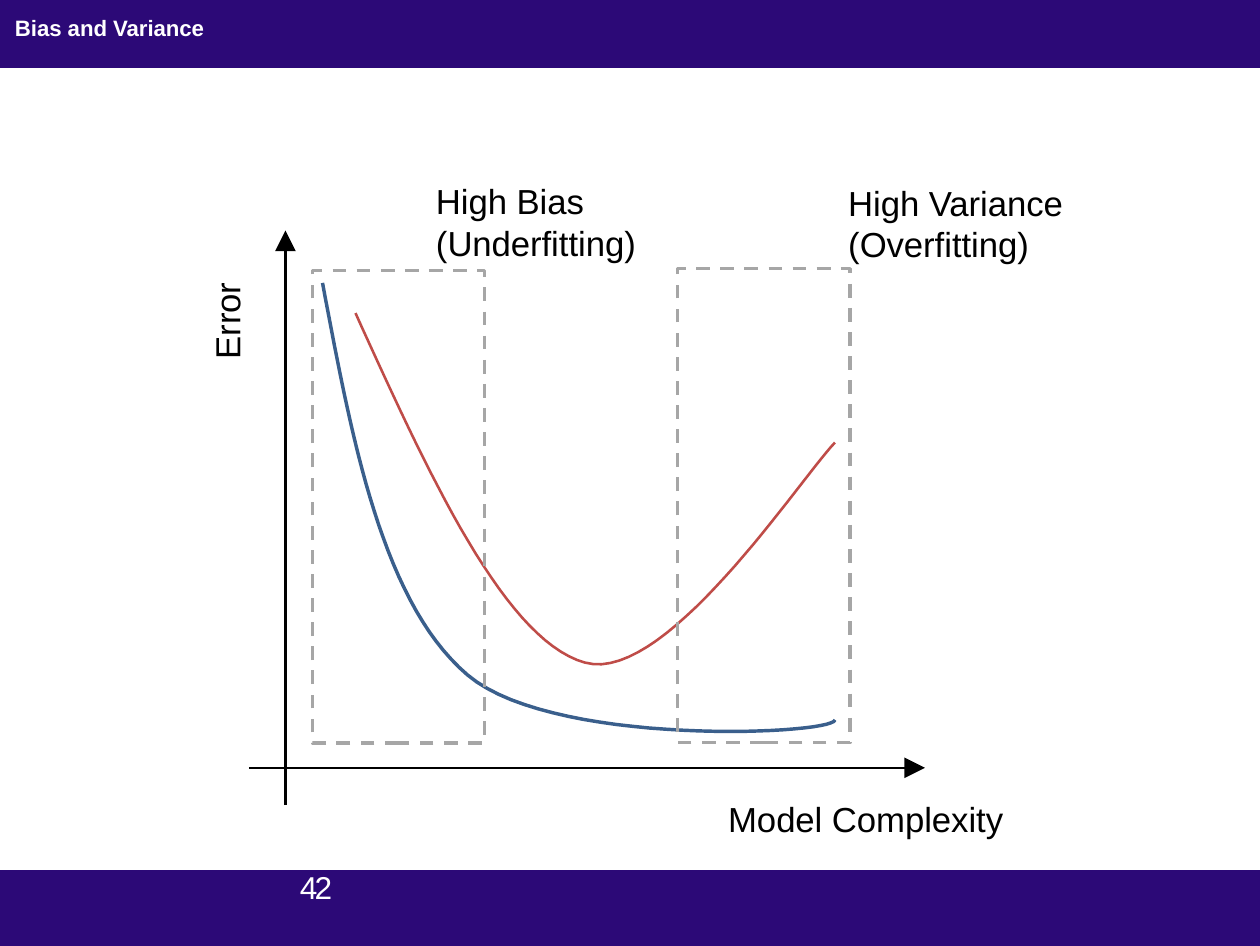
from dataclasses import dataclass

from lxml.etree import SubElement
from pptx import Presentation
from pptx.dml.color import RGBColor
from pptx.enum.dml import MSO_LINE
from pptx.enum.shapes import MSO_CONNECTOR, MSO_SHAPE
from pptx.enum.text import MSO_ANCHOR, MSO_AUTO_SIZE, PP_ALIGN
from pptx.oxml.ns import qn
from pptx.shapes.base import BaseShape
from pptx.slide import Slide
from pptx.util import Emu, Length, Pt

COLORS = {
    "band": "2C0977",
    "band_text": "FFFFFF",
    "ink": "000000",
    "test_error": "BF4C48",
    "training_error": "3A5F8C",
    "region": "A6A6A6",
}
FONT = "Arial"
SLIDE_WIDTH, SLIDE_HEIGHT = Pt(363), Pt(272.5)
COLUMNS = 504
CELL = SLIDE_WIDTH / COLUMNS
ROWS = SLIDE_HEIGHT / CELL
CURVE_STEPS = 30

Point = tuple[float, float]
Box = tuple[float, float, float, float]


@dataclass(frozen=True)
class Axis:
    start: Point
    end: Point


@dataclass(frozen=True)
class Curve:
    points: tuple[Point, ...]
    color: str
    width: float


@dataclass(frozen=True)
class Label:
    text: str
    box: Box
    upward: bool = False


BANDS: list[Box] = [(0, -2, COLUMNS, 29.2), (0, 348, COLUMNS, ROWS - 348)]
AXES = [Axis((114.2, 322), (114.2, 92.2)), Axis((99.6, 307.1), (370, 307.1))]
CURVES = [
    Curve(
        ((142.2, 125.2), (172, 191), (202, 256), (234, 265),
         (266, 274), (319, 193), (334, 177)),
        "test_error", 0.75,
    ),
    Curve(
        ((129, 113.2), (141, 177), (153, 241), (187, 270),
         (221, 299), (333, 294), (334, 288)),
        "training_error", 1,
    ),
]
REGIONS: list[Box] = [(125, 108.2, 68.8, 189), (271, 107.5, 69, 189.5)]
LABELS = [
    Label("Model Complexity", (281.5, 314, 138, 27)),
    Label("Error", (77.4, 19.6, 37, 134), upward=True),
    Label("High Bias (Underfitting)", (164.6, 67, 138, 44)),
    Label("High Variance (Overfitting)", (329.5, 67.7, 138, 44)),
]


def grid(*cells: float) -> list[Length]:
    return [Emu(round(cell * CELL)) for cell in cells]


def rgb(name: str) -> RGBColor:
    return RGBColor.from_string(COLORS[name])


def write(
    shape: BaseShape,
    text: str,
    *,
    size: float = 10,
    color: str = "ink",
    bold: bool = False,
    align: PP_ALIGN = PP_ALIGN.LEFT,
    inset: bool = True,
    upward: bool = False,
    line_spacing: Length | None = None,
    tracking: int = 0,
) -> None:
    frame = shape.text_frame
    frame.word_wrap = True
    frame.auto_size = MSO_AUTO_SIZE.NONE
    frame.vertical_anchor = MSO_ANCHOR.TOP
    if not inset:
        frame.margin_left = frame.margin_right = 0
        frame.margin_top = frame.margin_bottom = 0
    if upward:
        frame._txBody.bodyPr.set("vert", "vert270")
    paragraph = frame.paragraphs[0]
    paragraph.alignment = align
    paragraph.line_spacing = line_spacing
    run = paragraph.add_run()
    run.text = text
    run.font.name = FONT
    run.font.size = Pt(size)
    run.font.bold = bold
    run.font.color.rgb = rgb(color)
    if tracking:
        run.font._element.set("spc", str(tracking))


def draw_band(slide: Slide, box: Box) -> None:
    band = slide.shapes.add_shape(MSO_SHAPE.RECTANGLE, *grid(*box))
    band.shadow.inherit = False
    band.fill.solid()
    band.fill.fore_color.rgb = rgb("band")
    band.line.fill.background()


def draw_axis(slide: Slide, axis: Axis) -> None:
    arrow = slide.shapes.add_connector(
        MSO_CONNECTOR.STRAIGHT, *grid(*axis.start, *axis.end)
    )
    arrow.line.color.rgb = rgb("ink")
    arrow.line.width = Pt(0.75)
    properties = arrow._element.spPr
    SubElement(properties.get_or_add_ln(), qn("a:tailEnd"), type="triangle")
    SubElement(properties, qn("a:effectLst"))


def bezier(controls: tuple[Point, ...], t: float) -> Point:
    weights = ((1 - t) ** 3, 3 * t * (1 - t) ** 2, 3 * t**2 * (1 - t), t**3)
    x, y = (
        sum(weight * value for weight, value in zip(weights, values))
        for values in zip(*controls)
    )
    return x, y


def draw_curve(slide: Slide, curve: Curve) -> None:
    trace = [
        bezier(curve.points[first:first + 4], step / CURVE_STEPS)
        for first in range(0, len(curve.points) - 1, 3)
        for step in range(1, CURVE_STEPS + 1)
    ]
    builder = slide.shapes.build_freeform(*grid(*curve.points[0]))
    builder.add_line_segments([grid(*point) for point in trace], close=False)
    line = builder.convert_to_shape()
    line.shadow.inherit = False
    line.fill.background()
    line.line.color.rgb = rgb(curve.color)
    line.line.width = Pt(curve.width)


def draw_region(slide: Slide, box: Box) -> None:
    region = slide.shapes.add_shape(MSO_SHAPE.RECTANGLE, *grid(*box))
    region.shadow.inherit = False
    region.fill.background()
    region.line.color.rgb = rgb("region")
    region.line.width = Pt(1)
    region.line.dash_style = MSO_LINE.DASH


def main() -> None:
    deck = Presentation()
    deck.slide_width, deck.slide_height = SLIDE_WIDTH, SLIDE_HEIGHT
    slide = deck.slides.add_slide(deck.slide_layouts[5])

    for band in BANDS:
        draw_band(slide, band)

    title = slide.shapes.title
    title.left, title.top, title.width, title.height = grid(6, 5.7, 492, 14)
    title._element.getparent().append(title._element)
    write(title, "Bias and Variance", size=6.4, color="band_text",
          bold=True, inset=False)

    page_number = slide.shapes.add_textbox(*grid(17, 351.7, 116, 11))
    write(page_number, "42", size=9.1, color="band_text", inset=False,
          align=PP_ALIGN.RIGHT, line_spacing=Pt(7.7), tracking=-80)

    for axis in AXES:
        draw_axis(slide, axis)
    for curve in CURVES:
        draw_curve(slide, curve)
    for region in REGIONS:
        draw_region(slide, region)
    for label in LABELS:
        write(slide.shapes.add_textbox(*grid(*label.box)), label.text,
              upward=label.upward)

    deck.save("out.pptx")


if __name__ == "__main__":
    main()
